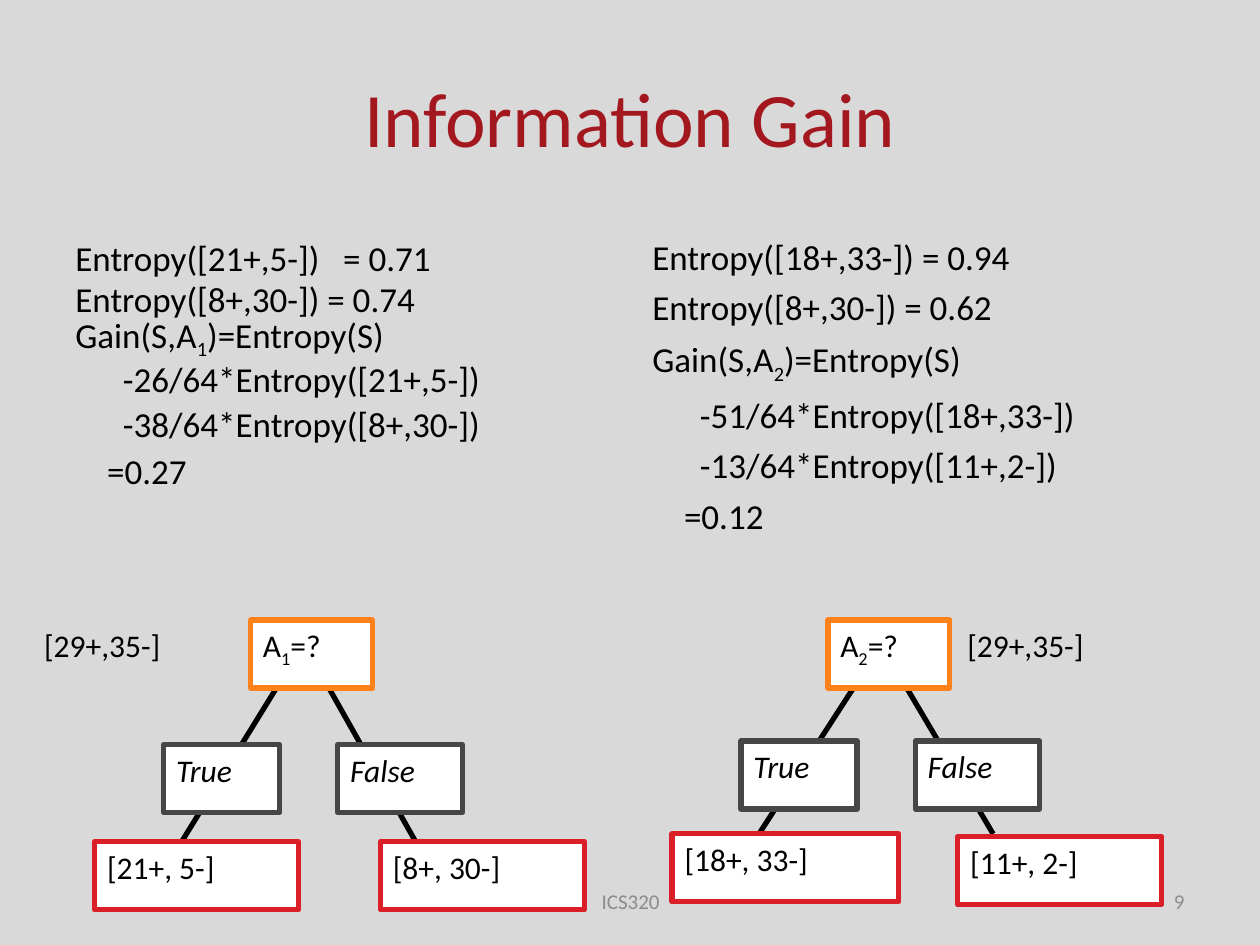
"""Build the Information Gain slide with two decision trees."""
from lxml import etree
from pptx import Presentation
from pptx.dml.color import RGBColor
from pptx.enum.shapes import MSO_CONNECTOR, MSO_SHAPE
from pptx.enum.text import MSO_ANCHOR, PP_ALIGN
from pptx.oxml.ns import qn
from pptx.util import Cm, Pt

LEFT, CENTER, RIGHT = PP_ALIGN.LEFT, PP_ALIGN.CENTER, PP_ALIGN.RIGHT
TOP, MIDDLE = MSO_ANCHOR.TOP, MSO_ANCHOR.MIDDLE
RECT, STRAIGHT = MSO_SHAPE.RECTANGLE, MSO_CONNECTOR.STRAIGHT
COLORS = {
    "background": "D9D9D9", "title": "A3171E", "footer": "8C8C8C",
    "text": "000000", "box": "FFFFFF",
    "root": "FF8119", "branch": "464646", "leaf": "DA1F28",
}


def rgb(name):
    return RGBColor.from_string(COLORS[name])


def add_text(shapes, box, lines, size, color="text", align=LEFT, anchor=TOP,
             italic=False, border=None):
    """Add a text box, or a bordered box; text between underscores is subscript."""
    x, y, w, h = map(Cm, box)
    if border:
        sp = shapes.add_shape(RECT, x, y, w, h)
        sp.shadow.inherit = False
        sp.fill.solid()
        sp.fill.fore_color.rgb = rgb("box")
        sp.line.color.rgb = rgb(border)
        sp.line.width = Pt(3)
    else:
        sp = shapes.add_textbox(x, y, w, h)
    tf = sp.text_frame
    tf.word_wrap = True
    tf.vertical_anchor = anchor
    for i, line in enumerate(lines):
        p = tf.add_paragraph() if i else tf.paragraphs[0]
        p.alignment = align
        p.font.name = "Calibri"
        p.font.size = Pt(size)
        p.font.italic = italic
        p.font.color.rgb = rgb(color)
        for j, part in enumerate(line.split("_")):
            r = p.add_run()
            r.text = part
            if j % 2:
                r._r.get_or_add_rPr().set("baseline", "-25000")
    return tf.paragraphs


prs = Presentation()
prs.slide_width, prs.slide_height = Cm(25.4), Cm(19.05)
s = prs.slides.add_slide(prs.slide_layouts[6])
s.background.fill.solid()
s.background.fill.fore_color.rgb = rgb("background")

add_text(s.shapes, (8.69, 17.65, 8.05, 1.02), ["ICS320"], 12, "footer", CENTER, MIDDLE)
add_text(s.shapes, (18.21, 17.65, 5.92, 1.02), ["9"], 12, "footer", RIGHT, MIDDLE)
add_text(s.shapes, (1.27, 0.76, 22.86, 3.18), ["Information Gain"], 44, "title", CENTER, MIDDLE)

gain_1 = add_text(s.shapes, (1.27, 4.65, 11, 5.6), [
    "Entropy([21+,5-])\t= 0.71", "Entropy([8+,30-]) = 0.74", "Gain(S,A_1_)=Entropy(S)",
    "-26/64*Entropy([21+,5-])", "-38/64*Entropy([8+,30-])", "=0.27"], 20)
gain_2 = add_text(s.shapes, (12.9, 4.45, 9.12, 6.38), [
    "Entropy([18+,33-]) = 0.94", "Entropy([8+,30-]) = 0.62", "Gain(S,A_2_)=Entropy(S)",
    "-51/64*Entropy([18+,33-])", "-13/64*Entropy([11+,2-])", "=0.12"], 20)

for p, pitch in zip(gain_1[1:], (23.4, 23.4, 22.4, 25.7, 26.8)):
    p.line_spacing = Pt(pitch)
for p in gain_2:
    p.line_spacing = 1.2
for paragraphs in (gain_1, gain_2):
    for p, indent in zip(paragraphs[3:], (0.96, 0.96, 0.64)):
        p._p.get_or_add_pPr().set("marL", str(Cm(indent)))

pPr = gain_1[0]._p.get_or_add_pPr()
tabs = etree.Element(qn("a:tabLst"))
etree.SubElement(tabs, qn("a:tab"), pos=str(Cm(5.4)), algn="l")
pPr.find(qn("a:defRPr")).addprevious(tabs)

trees = [
    (0, "A_1_=?", 0.64, 15.01, ("[21+, 5-]", 16.97, 4.11), ("[8+, 30-]", 16.97, 4.11)),
    (11.64, "A_2_=?", 19.25, 14.94, ("[18+, 33-]", 16.81, 4.57), ("[11+, 2-]", 16.87, 4.11)),
]
for dx, question, label_x, branch_y, *leaves in trees:
    shapes = s.shapes.add_group_shape().shapes
    for x1, x2 in ((5.77, 3.66), (6.45, 8.38)):
        line = shapes.add_connector(STRAIGHT, Cm(x1 + dx), Cm(13.55), Cm(x2 + dx), Cm(leaves[0][1]))
        line.line.color.rgb = rgb("text")
        line.line.width = Pt(3)
        etree.SubElement(line._element.spPr, qn("a:effectLst"))
    add_text(shapes, (5.05 + dx, 12.5, 2.46, 1.37), [question], 18, border="root")
    for x, w, answer in ((3.3, 2.34, "True"), (6.81, 2.51, "False")):
        add_text(shapes, (x + dx, branch_y, w, 1.37), [answer], 18, italic=True, border="branch")
    for x, (counts, y, w) in zip((1.91, 7.67), leaves):
        add_text(shapes, (x + dx, y, w, 1.37), [counts], 18, border="leaf")
    add_text(shapes, (label_x, 12.5, 4.19, 1.27), ["[29+,35-]"], 18)

prs.save("out.pptx")
